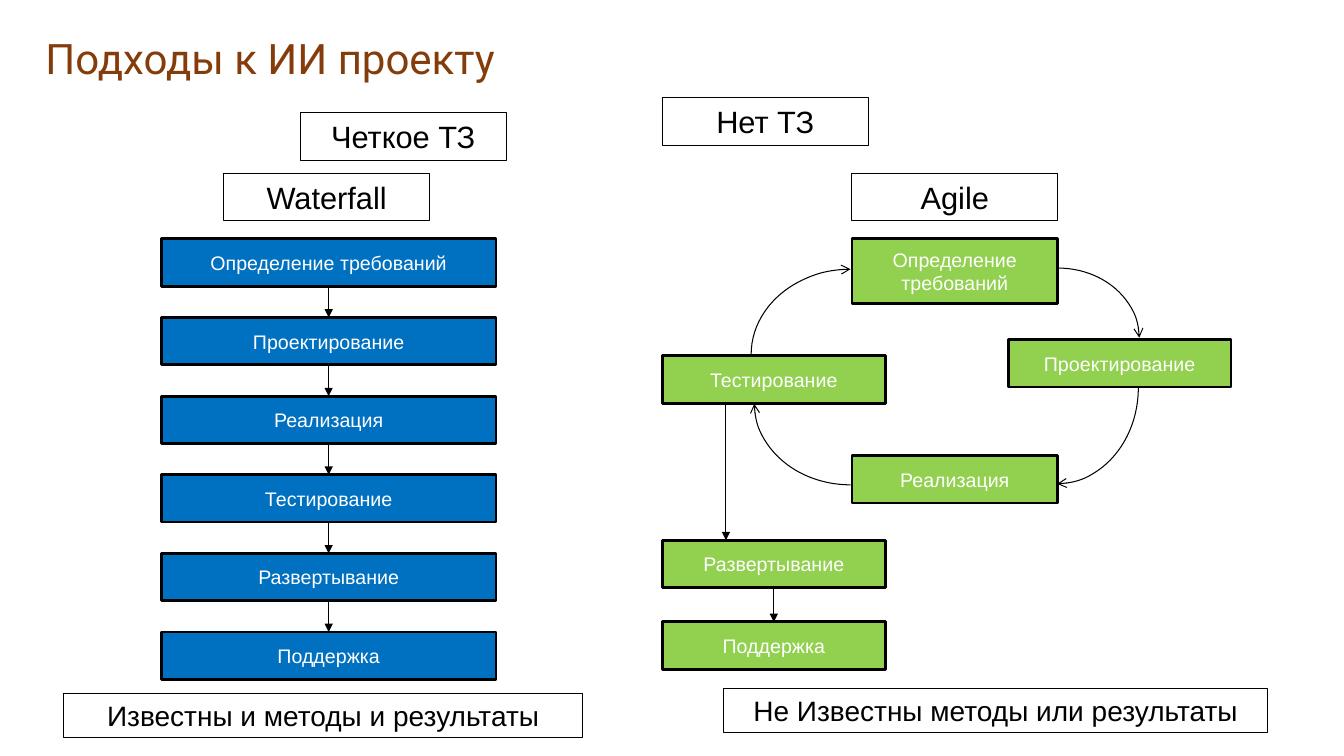
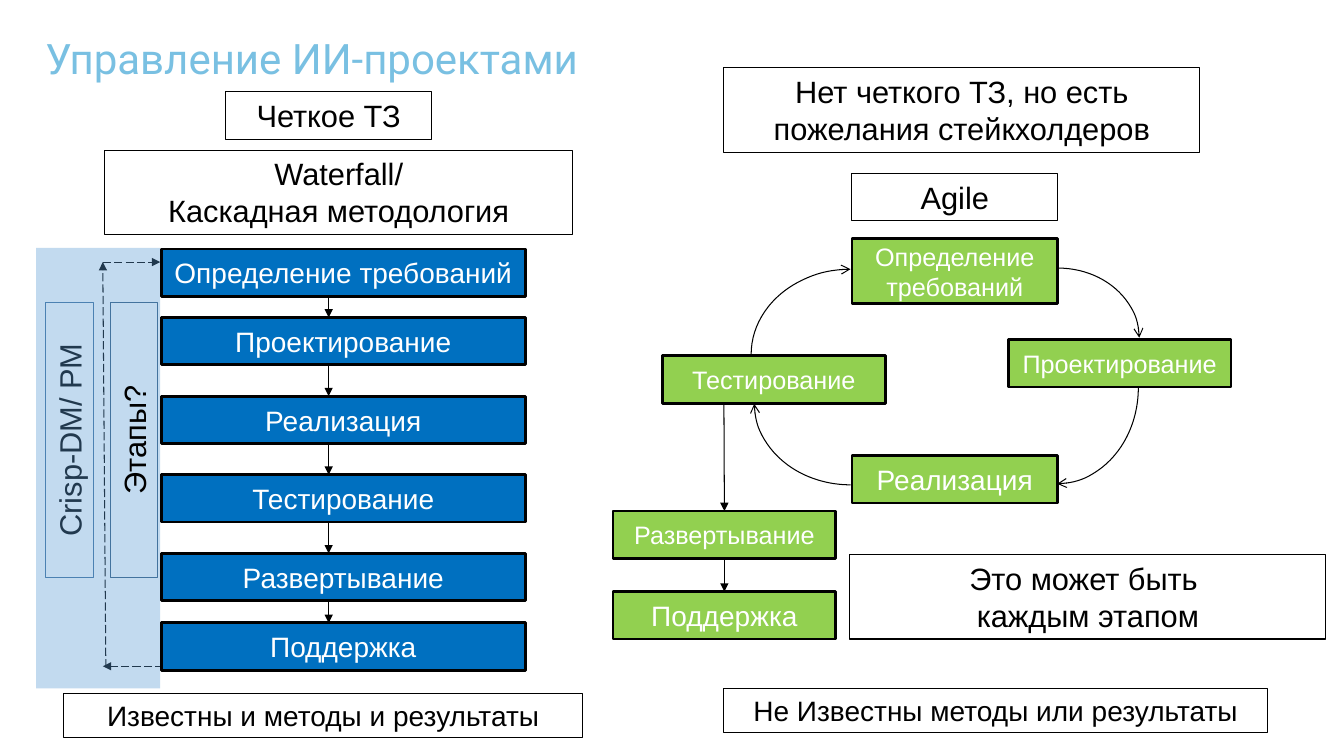
from itertools import pairwise

from lxml.etree import SubElement
from pptx import Presentation
from pptx.dml.color import RGBColor
from pptx.enum.dml import MSO_LINE
from pptx.enum.shapes import MSO_CONNECTOR as CONNECTOR, MSO_SHAPE as SHAPE
from pptx.enum.text import MSO_ANCHOR as ANCHOR, MSO_AUTO_SIZE as AUTO_SIZE, PP_ALIGN as ALIGN
from pptx.oxml.ns import qn
from pptx.util import Inches, Pt

BLACK = RGBColor(0x00, 0x00, 0x00)
WHITE = RGBColor(0xFF, 0xFF, 0xFF)
BLUE = RGBColor(0x00, 0x70, 0xC0)
GREEN = RGBColor(0x92, 0xD0, 0x50)
BROWN = RGBColor(0x84, 0x3C, 0x0B)
SKY = RGBColor(0x79, 0xC0, 0xE2)
STEEL = RGBColor(0x43, 0x73, 0x9E)
BAND = RGBColor(0x5B, 0x9B, 0xD5)

BODY_FONT, TITLE_FONT = "Arial", "Roboto"
STEP_HEIGHT = 0.47
DELIVERY_WIDTH = 2.21
STAGES = ["Определение требований", "Проектирование", "Реализация",
          "Тестирование", "Развертывание", "Поддержка"]
CYCLE_BOXES = [(1.88, 0, 2.04, 0.64), (3.43, 1, 2.21, STEP_HEIGHT),
               (1.88, 2.15, 2.04, STEP_HEIGHT), (0, 1.16, 2.21, STEP_HEIGHT)]
CYCLE_ARCS = [(3.12, 0.29, 1.61, 1.4), (2.95, 0.66, 1.91, 1.63),
              (0.91, 0.81, 1.91, 1.63), (1.03, 0.15, 1.69, 1.99)]


def add_title(slide, text, color):
    """Place and format the title placeholder."""
    title = slide.shapes.title
    title.left, title.top = Inches(0.45), Inches(0.4)
    title.width, title.height = Inches(9.58), Inches(0.42)
    frame = title.text_frame
    frame.margin_left = frame.margin_right = frame.margin_top = frame.margin_bottom = 0
    frame.vertical_anchor = ANCHOR.TOP
    frame.auto_size = AUTO_SIZE.NONE
    frame.word_wrap = True
    para = frame.paragraphs[0]
    para.alignment = ALIGN.LEFT
    para.line_spacing = 0.84
    add_span(para, text, 30, color, TITLE_FONT)


def add_span(para, text, size, color, font=BODY_FONT):
    """Add one formatted run to a paragraph."""
    span = para.add_run()
    span.text = text
    span.font.name = font
    span.font.size = Pt(size)
    span.font.color.rgb = color


def add_outline(slide, kind, bounds, color=BLACK, weight=0.75):
    """Add an unfilled, shadowless shape with a line."""
    shape = slide.shapes.add_shape(kind, *map(Inches, bounds))
    shape.shadow.inherit = False
    shape.fill.background()
    shape.line.color.rgb = color
    shape.line.width = Pt(weight)
    return shape


def write(box, text, size, color, anchor):
    """Write centred text, one paragraph per item, breaking lines at newlines."""
    frame = box.text_frame
    frame.word_wrap = True
    frame.vertical_anchor = anchor
    for index, part in enumerate([text] if isinstance(text, str) else text):
        para = frame.add_paragraph() if index else frame.paragraphs[0]
        para.alignment = ALIGN.CENTER
        for number, line in enumerate(part.split("\n")):
            if number:
                para.add_line_break()
            add_span(para, line, size, color)


def add_label(slide, text, bounds, size=22, color=BLACK, rotation=0):
    """Add an outlined caption."""
    box = add_outline(slide, SHAPE.RECTANGLE, bounds, color)
    box.rotation = rotation
    write(box, text, size, BLACK, ANCHOR.TOP)
    box.text_frame.auto_size = AUTO_SIZE.SHAPE_TO_FIT_TEXT


def add_step(slide, text, bounds, fill, size):
    """Add a filled process step."""
    box = add_outline(slide, SHAPE.RECTANGLE, bounds, weight=2)
    box.fill.solid()
    box.fill.fore_color.rgb = fill
    write(box, text, size, WHITE, ANCHOR.MIDDLE)
    return box


def add_head(shape, kind):
    """Put an arrowhead at the end of a line."""
    SubElement(shape.line._get_or_add_ln(), qn("a:tailEnd"), type=kind)


def add_arrow(slide, begin, end, dash=None):
    """Add a straight arrow between two points."""
    arrow = slide.shapes.add_connector(CONNECTOR.STRAIGHT, *begin, *end)
    arrow.line.color.rgb = BLACK
    arrow.line.width = Pt(0.75)
    if dash:
        arrow.line.dash_style = dash
    add_head(arrow, "triangle")
    SubElement(arrow._element.spPr, qn("a:effectLst"))
    return arrow


def link_down(slide, upper, lower, x=None):
    """Draw an arrow between two steps, joined where it meets a side's middle."""
    upper_middle, lower_middle = (box.left + box.width // 2 for box in (upper, lower))
    x = upper_middle if x is None else Inches(x)
    arrow = add_arrow(slide, (x, upper.top + upper.height), (x, lower.top))
    if abs(x - upper_middle) <= Inches(0.01):
        arrow.begin_connect(upper, 2)
    if abs(x - lower_middle) <= Inches(0.01):
        arrow.end_connect(lower, 0)


def add_cascade(slide, left, top, width, offsets, size):
    """Stack the waterfall stages and link them."""
    steps = [add_step(slide, stage, (left, top + offset, width, STEP_HEIGHT), BLUE, size)
             for stage, offset in zip(STAGES, offsets)]
    for upper, lower in pairwise(steps):
        link_down(slide, upper, lower, left + 1.66)


def add_cycle(slide, left, top, sizes):
    """Draw the agile loop and return its testing step."""
    for stage, (x, y, width, height), size in zip(STAGES, CYCLE_BOXES, sizes):
        step = add_step(slide, stage, (left + x, top + y, width, height), GREEN, size)
    for index, (x, y, width, height) in enumerate(CYCLE_ARCS):
        arc = add_outline(slide, SHAPE.ARC, (left + x, top + y, width, height))
        arc.adjustments[0] = 162
        arc.adjustments[1] = 215.616
        arc.rotation = 90 * index
        add_head(arc, "arrow")
    return step


def add_delivery(slide, testing, left, top, gap, sizes, entry):
    """Draw the two steps that follow testing."""
    deploy, support = [
        add_step(slide, stage, (left, top + gap * index, DELIVERY_WIDTH, STEP_HEIGHT), GREEN, size)
        for index, (stage, size) in enumerate(zip(STAGES[4:], sizes))]
    link_down(slide, testing, deploy, entry)
    link_down(slide, deploy, support)


def add_return_band(slide, left, top):
    """Draw the side band with the dashed return loop."""
    for begin, end in [((0.66, 0.14), (1.23, 0.14)),
                       ((1.26, 4.15), (0.66, 4.15)),
                       ((0.69, 4.16), (0.66, 0.14))]:
        points = [(Inches(left + x), Inches(top + y)) for x, y in (begin, end)]
        add_arrow(slide, *points, MSO_LINE.LONG_DASH)
    add_label(slide, "Crisp-DM/ PM", (left - 1.03, top + 1.67, 2.72, STEP_HEIGHT),
              color=STEEL, rotation=270)
    band = add_outline(slide, SHAPE.RECTANGLE, (left, top, 1.23, 4.37))
    band.line.fill.background()
    band.fill.solid()
    band.fill.fore_color.rgb = BAND
    tint = band._element.spPr.find(qn("a:solidFill")).find(qn("a:srgbClr"))
    SubElement(tint, qn("a:alpha"), val="37000")
    add_label(slide, "Этапы?", (left - 0.39, top + 1.67, 2.72, STEP_HEIGHT),
              color=STEEL, rotation=270)


def start_slide(deck, title, color, cycle_sizes):
    """Add a slide with the shared title, agile loop and conclusions."""
    slide = deck.slides.add_slide(deck.slide_layouts[5])
    add_title(slide, title, color)
    add_label(slide, "Agile", (8.45, 1.72, 2.04, STEP_HEIGHT))
    testing = add_cycle(slide, 6.57, 2.37, cycle_sizes)
    add_label(slide, "Известны и методы и результаты", (0.63, 6.88, 5.15, 0.44), 20)
    add_label(slide, "Не Известны методы или результаты", (7.18, 6.83, 5.39, 0.44), 20)
    return slide, testing


def add_approaches(deck):
    """Build the slide that compares the approaches."""
    slide, testing = start_slide(deck, "Подходы к ИИ проекту", BROWN, [14] * 4)
    add_label(slide, "Четкое ТЗ", (2.98, 1.12, 2.04, STEP_HEIGHT))
    add_label(slide, "Waterfall", (2.22, 1.72, 2.04, STEP_HEIGHT))
    add_label(slide, "Нет ТЗ", (6.57, 0.97, 2.04, STEP_HEIGHT))
    add_cascade(slide, 1.6, 2.37, 3.32, [0.78 * index for index in range(6)], 14)
    add_delivery(slide, testing, 6.57, 5.36, 0.81, [14, 14], 7.2)


def add_management(deck):
    """Build the slide on managing projects."""
    slide, testing = start_slide(deck, "Управление ИИ-проектами", SKY, [18, 18, 20, 18])
    add_label(slide, "Четкое ТЗ", (2.24, 0.91, 2.04, STEP_HEIGHT))
    add_label(slide, ["Waterfall/", "Каскадная методология"], (1.04, 1.49, 4.64, 0.84))
    add_label(slide, "Нет четкого ТЗ, но есть пожелания стейкхолдеров", (7.18, 0.67, 4.72, 0.84))
    add_return_band(slide, 0.36, 2.46)
    add_cascade(slide, 1.6, 2.47, 3.61, [0, 0.68, 1.46, 2.24, 3.02, 3.71], 20)
    add_delivery(slide, testing, 6.08, 5.07, 0.8, [18, 20], 7.18)
    add_label(slide, "Это может быть \nкаждым этапом", (8.43, 5.5, 4.72, 0.84))


def main():
    """Build and save the deck."""
    deck = Presentation()
    deck.slide_width, deck.slide_height = Inches(13.33), Inches(7.5)
    add_approaches(deck)
    add_management(deck)
    deck.save("out.pptx")


if __name__ == "__main__":
    main()
